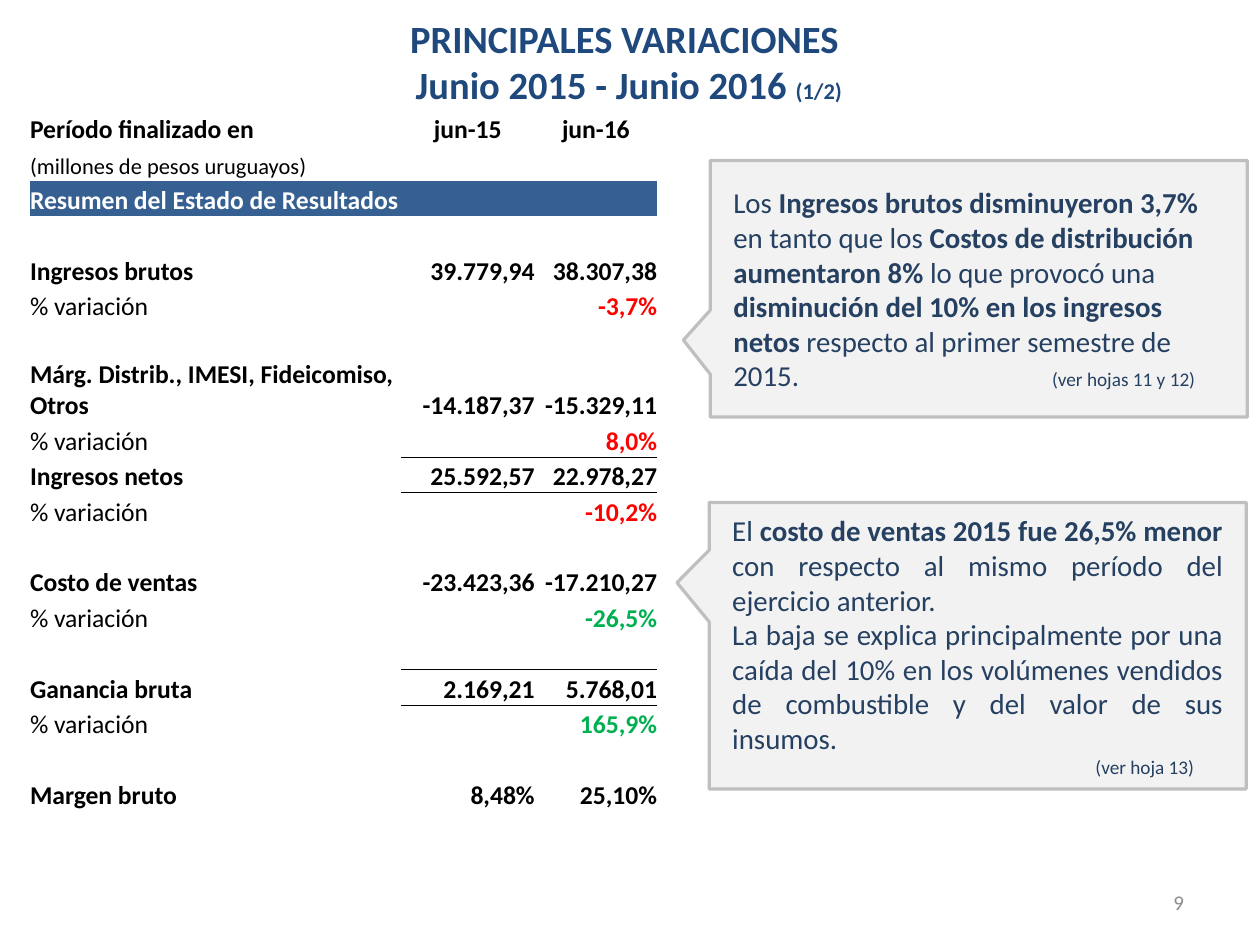
from lxml import etree
from pptx import Presentation
from pptx import util as u
from pptx.dml.color import RGBColor
from pptx.enum import shapes, text
from pptx.oxml import ns

FONT = "Calibri"
TITLE_BLUE, BAND_BLUE, CALLOUT_BLUE = "1F497D", "376092", "254061"
BLACK, WHITE, RED, GREEN = "000000", "FFFFFF", "FF0000", "00B050"
LIGHT_GRAY, MID_GRAY, NUMBER_GRAY = "F2F2F2", "BFBFBF", "8C8C8C"
LEFT, CENTER, RIGHT, JUSTIFY = (text.PP_ALIGN.LEFT, text.PP_ALIGN.CENTER,
                                text.PP_ALIGN.RIGHT, text.PP_ALIGN.JUSTIFY)
NO_GRID_STYLE = "{2D5ABB26-0587-4C30-8999-92F81FD0307C}"

# Each row: label, jun-15, jun-16, colour of the variation
RESULTS = [
    ("Período finalizado en", "jun-15", "jun-16"),
    ("(millones de pesos uruguayos)", "", ""),
    ("Resumen del Estado de Resultados", "", ""),
    ("", "", ""),
    ("Ingresos brutos", "39.779,94", "38.307,38"),
    ("% variación", "", "-3,7%", RED),
    ("", "", ""),
    ("Márg. Distrib., IMESI, Fideicomiso, Otros", "-14.187,37", "-15.329,11"),
    ("% variación", "", "8,0%", RED),
    ("Ingresos netos", "25.592,57", "22.978,27"),
    ("% variación", "", "-10,2%", RED),
    ("", "", ""),
    ("Costo de ventas", "-23.423,36", "-17.210,27"),
    ("% variación", "", "-26,5%", GREEN),
    ("", "", ""),
    ("Ganancia bruta", "2.169,21", "5.768,01"),
    ("% variación", "", "165,9%", GREEN),
    ("", "", ""),
    ("Margen bruto", "8,48%", "25,10%"),
]
HEADER_ROW, UNIT_ROW, BAND_ROW, TALL_ROW = 0, 1, 2, 7
TOTAL_ROWS = (9, 15)

# Each paragraph: alignment, then runs of (words, bold, size)
INCOME_NOTE = [
    (LEFT, [("Los ", False, 18),
            ("Ingresos brutos disminuyeron 3,7% ", True, 18),
            ("en tanto que los ", False, 18),
            ("Costos de distribución aumentaron 8% ", True, 18),
            ("lo que provocó una", False, 18),
            (" disminución del 10% en los ingresos netos ", True, 18),
            ("respecto al primer semestre de 2015.", False, 18),
            ("\t(ver hojas 11 y 12)", False, 12)]),
]
COST_NOTE = [
    (JUSTIFY, [("El ", False, 18),
               ("costo de ventas 2015 fue 26,5% menor", True, 18),
               (" con respecto al mismo período del ejercicio anterior.", False, 18)]),
    (JUSTIFY, [("La baja se explica principalmente por una caída del 10% en los "
                "volúmenes vendidos de combustible y del valor de sus insumos.",
                False, 18)]),
    (LEFT, [("\t(ver hoja 13)", False, 12)]),
]


def color(value):
    return RGBColor.from_string(value)


def set_all(target, values):
    for name, value in values.items():
        setattr(target, name, value)


def set_frame(frame, anchor, side, edge):
    set_all(frame, {"word_wrap": True, "vertical_anchor": anchor,
                    "margin_left": u.Inches(side), "margin_right": u.Inches(side),
                    "margin_top": u.Inches(edge), "margin_bottom": u.Inches(edge)})


def add_run(paragraph, words, size, ink, bold=False):
    run = paragraph.add_run()
    run.text = words
    set_all(run.font, {"name": FONT, "size": u.Pt(size), "bold": bold})
    run.font.color.rgb = color(ink)


def add_tab_stop(paragraph, position):
    tabs = etree.SubElement(paragraph._p.get_or_add_pPr(), ns.qn("a:tabLst"))
    etree.SubElement(tabs, ns.qn("a:tab"), pos=str(u.Inches(position)), algn="r")


def add_border(cell, side):
    line = etree.Element(ns.qn("a:ln" + side), w=str(u.Pt(0.5)))
    fill = etree.SubElement(line, ns.qn("a:solidFill"))
    etree.SubElement(fill, ns.qn("a:srgbClr"), val=BLACK)
    cell._tc.get_or_add_tcPr().insert(0, line)


def add_title(slide, left, top, width, height):
    box = slide.shapes.add_textbox(*map(u.Inches, (left, top, width, height)))
    frame = box.text_frame
    set_frame(frame, text.MSO_ANCHOR.TOP, 0.1, 0.05)
    first, second = frame.paragraphs[0], frame.add_paragraph()
    first.alignment = second.alignment = CENTER
    add_run(first, "PRINCIPALES VARIACIONES ", 24, TITLE_BLUE, True)
    add_run(second, "Junio 2015 - Junio 2016 ", 24, TITLE_BLUE, True)
    add_run(second, "(1/2)", 14, TITLE_BLUE, True)


def add_results(slide, left, top, width, height):
    frame = slide.shapes.add_table(len(RESULTS), 3,
                                   *map(u.Inches, (left, top, width, height)))
    table = frame.table
    set_all(table, {"first_row": False, "horz_banding": False})
    table._tbl.tblPr.find(ns.qn("a:tableStyleId")).text = NO_GRID_STYLE

    # Column and row sizes
    value_widths = (1.16, 1.06)
    widths = (width - sum(value_widths), *value_widths)
    for column, column_width in zip(table.columns, widths):
        column.width = u.Inches(column_width)
    tall = 0.55
    for index, row in enumerate(table.rows):
        row.height = u.Inches(tall if index == TALL_ROW
                              else (height - tall) / (len(RESULTS) - 1))

    # Cells
    for row, (label, before, after, *variation) in enumerate(RESULTS):
        for column, words in enumerate((label, before, after)):
            cell = table.cell(row, column)
            set_all(cell, {"margin_left": 0, "margin_right": 0, "margin_top": 0,
                           "margin_bottom": 0,
                           "vertical_anchor": text.MSO_ANCHOR.BOTTOM})
            cell.fill.solid()
            cell.fill.fore_color.rgb = color(BAND_BLUE if row == BAND_ROW else WHITE)
            ink = WHITE if row == BAND_ROW else BLACK
            if variation and column == 2:
                ink = variation[0]
            plain = column == 0 and (variation or row == UNIT_ROW)
            paragraph = cell.text_frame.paragraphs[0]
            if column:
                paragraph.alignment = CENTER if row == HEADER_ROW else RIGHT
            add_run(paragraph, words, 14 if row == UNIT_ROW else 16, ink, not plain)

    # Rules above the totals
    for row in TOTAL_ROWS:
        for column in (1, 2):
            add_border(table.cell(row - 1, column), "B")
            add_border(table.cell(row, column), "T")


def add_callout(slide, left, top, width, height, pointer, paragraphs):
    shape = slide.shapes.add_shape(shapes.MSO_SHAPE.RECTANGULAR_CALLOUT,
                                   *map(u.Inches, (left, top, width, height)))
    shape.shadow.inherit = False
    shape.fill.solid()
    shape.fill.fore_color.rgb = color(LIGHT_GRAY)
    shape.line.color.rgb = color(MID_GRAY)
    shape.line.width = u.Pt(2)
    for index, value in enumerate(pointer):
        shape.adjustments[index] = value
    frame = shape.text_frame
    set_frame(frame, text.MSO_ANCHOR.MIDDLE, 0.2, 0.2)
    for index, (alignment, runs) in enumerate(paragraphs):
        paragraph = frame.add_paragraph() if index else frame.paragraphs[0]
        paragraph.alignment = alignment
        add_tab_stop(paragraph, width - 0.65)
        for words, bold, size in runs:
            add_run(paragraph, words, size, CALLOUT_BLUE, bold)


def add_page_number(slide, left, top, width, height):
    box = slide.shapes.add_textbox(*map(u.Inches, (left, top, width, height)))
    set_frame(box.text_frame, text.MSO_ANCHOR.MIDDLE, 0.11, 0.05)
    paragraph = box.text_frame.paragraphs[0]
    paragraph.alignment = RIGHT
    add_run(paragraph, "9", 13, NUMBER_GRAY)


def main():
    presentation = Presentation()
    presentation.slide_width = u.Inches(10.91)
    presentation.slide_height = u.Inches(8.19)
    slide = presentation.slides.add_slide(presentation.slide_layouts[6])
    add_title(slide, 0.1, 0.08, 10.69, 0.91)
    add_page_number(slide, 7.82, 7.59, 2.54, 0.44)
    add_callout(slide, 6.15, 1.39, 4.65, 2.22, (-0.55, 0.2), INCOME_NOTE)
    add_callout(slide, 6.14, 4.35, 4.65, 2.48, (-0.56, -0.22), COST_NOTE)
    add_results(slide, 0.26, 0.95, 5.43, 6.08)
    presentation.save("out.pptx")


if __name__ == "__main__":
    main()
